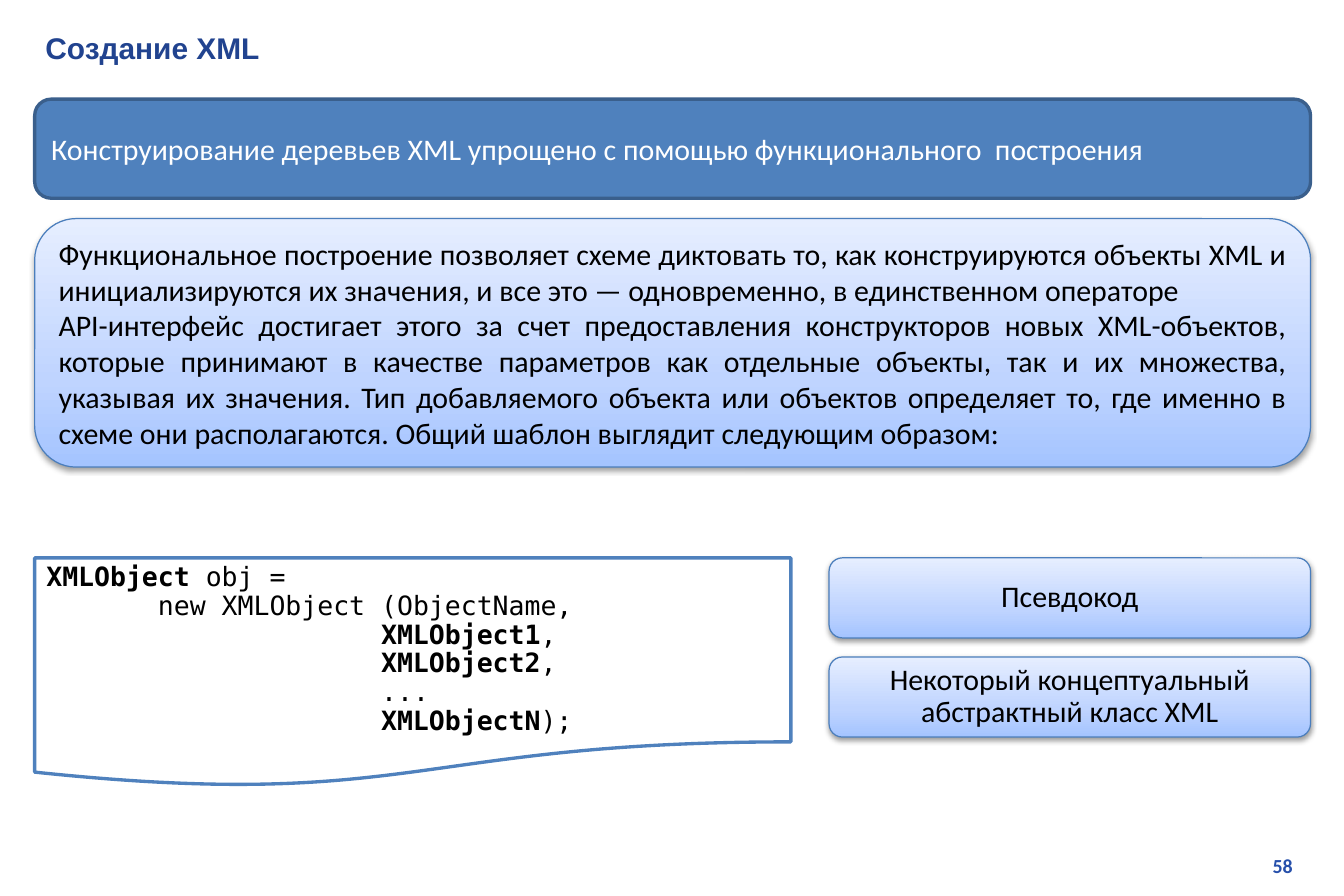
import copy

import lxml.etree
import pptx
import pptx.dml.color
import pptx.enum.shapes
import pptx.enum.text
import pptx.oxml.ns
import pptx.util

Inches = pptx.util.Inches
Pt = pptx.util.Pt
SHAPES = pptx.enum.shapes.MSO_SHAPE
ALIGN = pptx.enum.text.PP_ALIGN
ANCHOR = pptx.enum.text.MSO_ANCHOR
qn = pptx.oxml.ns.qn

COLORS = {
    "title": "21438F", "number": "2750AB", "white": "FFFFFF", "black": "000000",
    "blue": "4F81BD", "header_line": "3A5F8C", "panel_line": "4B7EBC",
}
PANEL_STOPS = [(0, "A4C4FF"), (0.35, "BFD4FF"), (1, "E6EEFF")]


def rgb(value):
    return pptx.dml.color.RGBColor.from_string(value)


class SlideBuilder:
    """Holds the text style and the slide being filled."""

    body = {"name": "Calibri", "size": Pt(18), "bold": False}

    def __init__(self, presentation):
        self.slide = presentation.slides.add_slide(presentation.slide_layouts[5])

    def set_text(self, shape, lines, color, align, anchor=ANCHOR.MIDDLE, spacing=1.0, **changes):
        """Fill a shape with paragraphs; text between asterisks is bold."""
        frame = shape.text_frame
        frame.word_wrap = True
        frame.auto_size = pptx.enum.text.MSO_AUTO_SIZE.NONE
        frame.vertical_anchor = anchor
        for index, line in enumerate(lines):
            paragraph = frame.add_paragraph() if index else frame.paragraphs[0]
            paragraph.alignment = align
            paragraph.line_spacing = spacing
            for part, text in enumerate(line.split("*")):
                if not text:
                    continue
                run = paragraph.add_run()
                run.text = text
                style = {**self.body, **changes}
                if part % 2:
                    style["bold"] = True
                for name, value in style.items():
                    setattr(run.font, name, value)
                run.font.color.rgb = rgb(COLORS[color])

    def title(self, text, *box):
        shape = self.slide.shapes.title
        for name, value in zip(("left", "top", "width", "height"), box):
            setattr(shape, name, Inches(value))
        self.set_text(shape, [text], "title", ALIGN.LEFT, name="Arial", bold=True)

    def number(self, text, *box):
        shape = self.slide.shapes.add_textbox(*map(Inches, box))
        self.set_text(shape, [text], "number", ALIGN.RIGHT, ANCHOR.TOP, size=Pt(12), bold=True)

    def shape(self, kind, box, line, width, fill=None):
        shape = self.slide.shapes.add_shape(kind, *map(Inches, box))
        shape.shadow.inherit = False
        shape.line.color.rgb = rgb(COLORS[line])
        shape.line.width = Pt(width)
        if fill:
            shape.fill.solid()
            shape.fill.fore_color.rgb = rgb(COLORS[fill])
        return shape

    def panel(self, lines, box, align, spacing=1.0):
        """Rounded box with a pale gradient and a soft shadow."""
        shape = self.shape(SHAPES.ROUNDED_RECTANGLE, box, "panel_line", 0.75)
        shape.fill.gradient()
        shape.fill.gradient_angle = 90
        properties = shape.element.spPr
        stop_list = properties.find(".//" + qn("a:gsLst"))
        stop_list.append(copy.deepcopy(stop_list[0]))
        for stop, (position, color) in zip(shape.fill.gradient_stops, PANEL_STOPS):
            stop.position = position
            stop.color.rgb = rgb(color)
        shadow = lxml.etree.SubElement(
            properties.find(qn("a:effectLst")), qn("a:outerShdw"),
            blurRad=str(Pt(3.1)), dist=str(Pt(1.6)), dir="5400000", rotWithShape="0")
        color = lxml.etree.SubElement(shadow, qn("a:srgbClr"), val=COLORS["black"])
        lxml.etree.SubElement(color, qn("a:alpha"), val="38000")
        self.set_text(shape, lines, "black", align, spacing=spacing)


def main():
    presentation = pptx.Presentation()
    presentation.slide_width = Inches(11.25)
    presentation.slide_height = Inches(7.5)
    builder = SlideBuilder(presentation)
    left, full_width = 0.29, 10.68

    # Title and slide number
    builder.title("Создание XML", 0.28, 0.2, 10.74, 0.4)
    builder.number("58", 8.54, 7.1, 2.38, 0.3)

    # Header band
    header = builder.shape(SHAPES.ROUNDED_RECTANGLE, (left, 0.83, full_width, 0.83),
                           "header_line", 2, "blue")
    builder.set_text(
        header,
        ["Конструирование деревьев XML упрощено с помощью функционального  построения"],
        "white", ALIGN.JUSTIFY)

    # Explanation
    builder.panel([
        "Функциональное построение позволяет схеме диктовать то, как конструируются "
        "объекты XML и инициализируются их значения, и все это — одновременно, "
        "в единственном операторе",
        "API-интерфейс достигает этого за счет предоставления конструкторов новых "
        "XML-объектов, которые принимают в качестве параметров как отдельные объекты, "
        "так и их множества, указывая их значения. Тип добавляемого объекта или "
        "объектов определяет то, где именно в схеме они располагаются. Общий шаблон "
        "выглядит следующим образом:",
    ], (left, 1.83, full_width, 2.08), ALIGN.JUSTIFY)

    # Code sample
    code = builder.shape(SHAPES.FLOWCHART_DOCUMENT, (left, 4.67, 6.33, 1.92),
                         "blue", 2, "white")
    builder.set_text(code, [
        "*XMLObject* оbj =",
        "       new XMLObject (ObjectName,",
        "                     *XMLObject1*,",
        "                     *XMLObject2*,",
        "                     ...",
        "                     *XMLObjectN*);",
    ], "black", ALIGN.JUSTIFY, spacing=0.9, name="DejaVu Sans Mono", size=Pt(16))

    # Notes beside the code
    notes = ["Псевдокод", "Некоторый концептуальный абстрактный класс XML"]
    for row, note in enumerate(notes):
        builder.panel([note], (6.94, 4.67 + row * 0.83, 4.03, 0.67), ALIGN.CENTER, 0.9)

    presentation.save("out.pptx")


if __name__ == "__main__":
    main()
